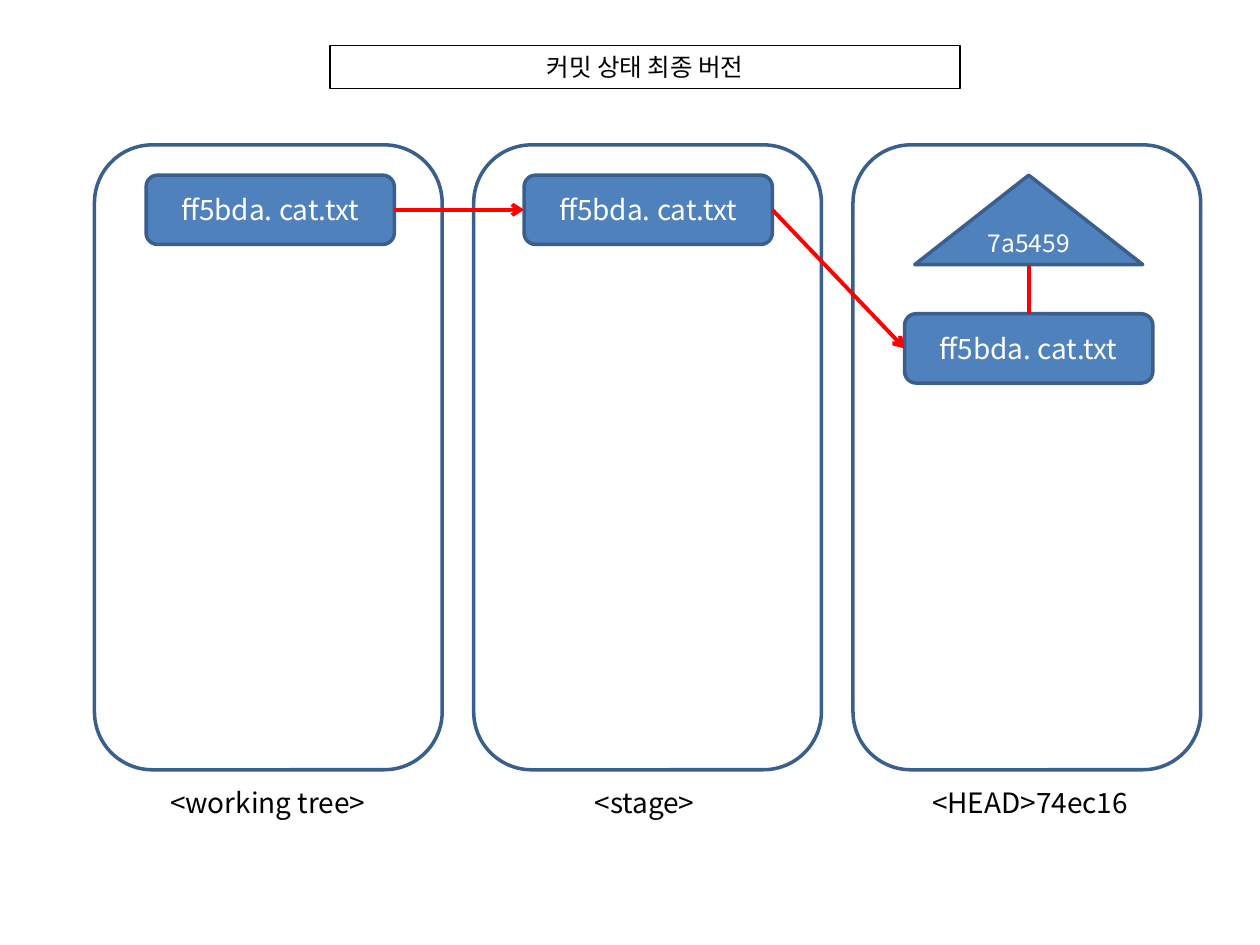
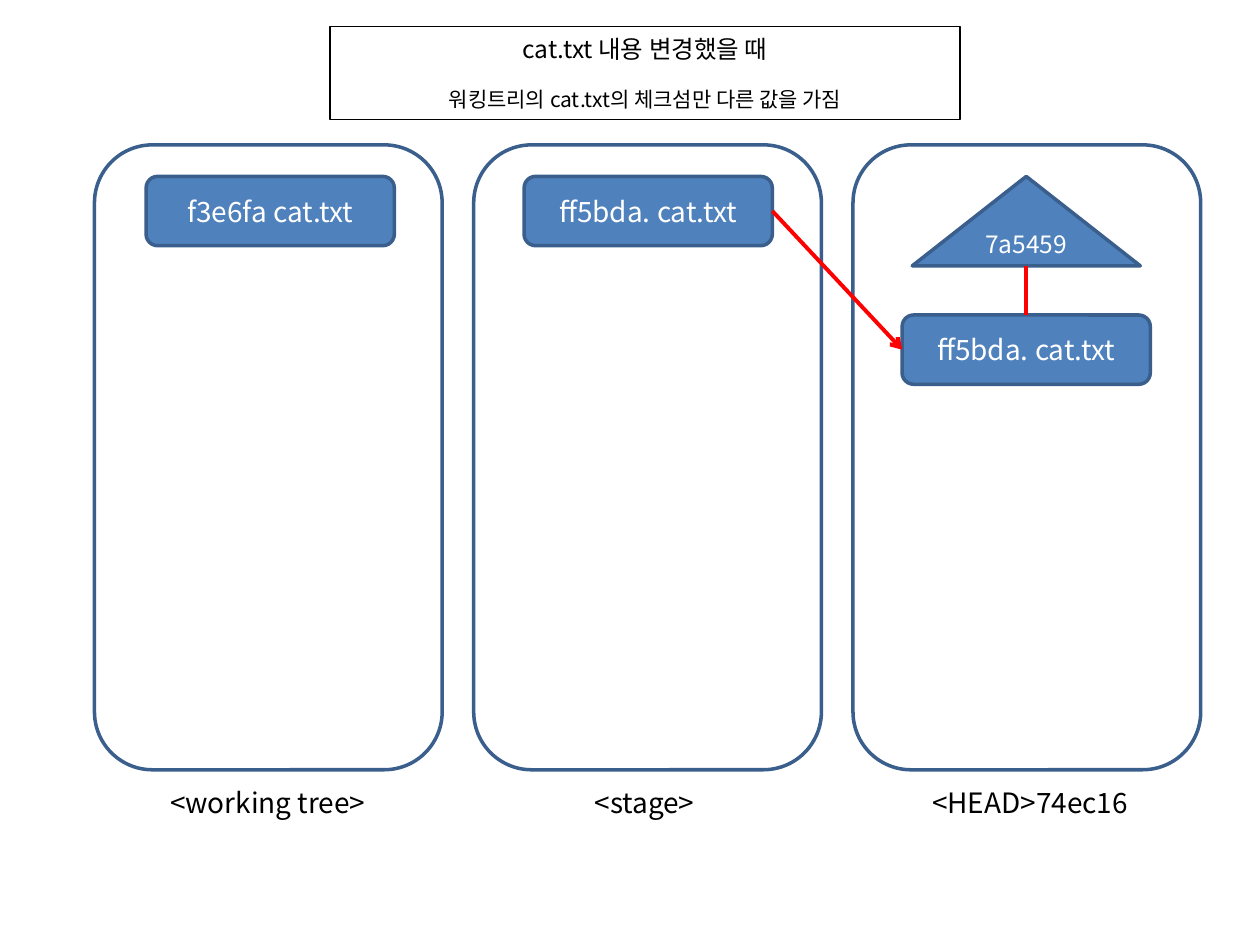
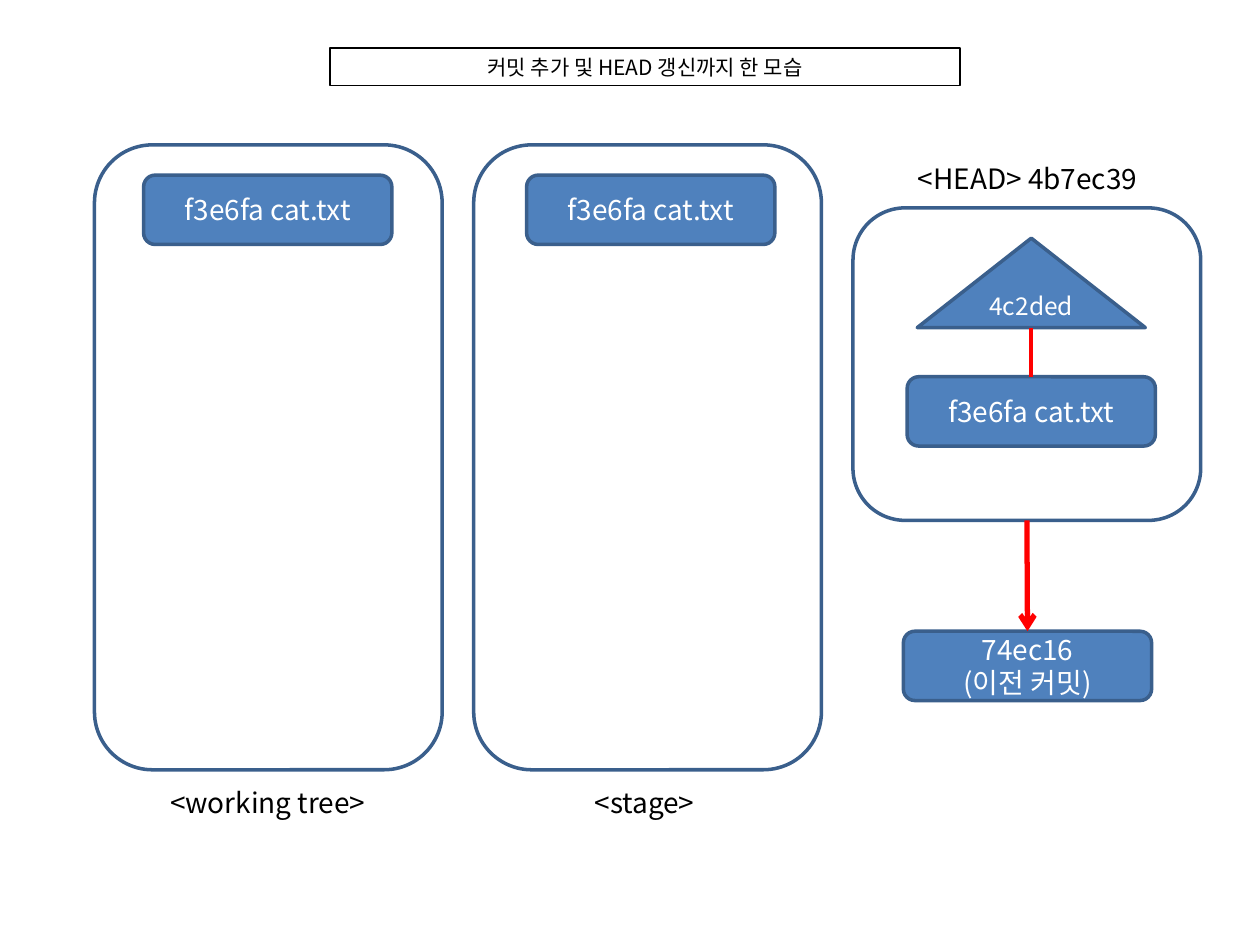
from dataclasses import dataclass
from typing import Optional

import pptx
import pptx.dml.color
import pptx.enum.shapes
import pptx.enum.text
import pptx.oxml
import pptx.oxml.ns
import pptx.util
from pptx.shapes.autoshape import Shape
from pptx.shapes.connector import Connector
from pptx.slide import Slide

EMU_PER_PX = 9144  # 100 px to the inch
FONT = "Noto Sans CJK KR"
BLACK, WHITE, RED = "000000", "FFFFFF", "FF0000"
BLUE, DARK_BLUE = "4F81BD", "3A5F8C"
SHAPES = pptx.enum.shapes.MSO_SHAPE
TOP, LEFT, BOTTOM, RIGHT = range(4)

CARD_WIDTH, CARD_HEIGHT = 197, 55
TREE_WIDTH, TREE_HEIGHT = 181, 71
TREE_INDENT = (CARD_WIDTH - TREE_WIDTH) // 2
TREE_GAP = 39
LABEL_WIDTH, LABEL_HEIGHT = 205, 37
LABEL_TOP = 618
COLUMN_LEFT, COLUMN_PITCH, COLUMN_TOP = 75, 301, 115
COLUMN_WIDTH, COLUMN_HEIGHT = 276, 496
TITLE_LEFT, TITLE_WIDTH = 262, 500


@dataclass(frozen=True)
class Box:
    left: int
    top: int
    width: int
    height: int


@dataclass(frozen=True)
class Line:
    text: str
    size: int
    space_before: int = 0


@dataclass(frozen=True)
class Label:
    text: str
    left: int
    top: int = LABEL_TOP


@dataclass(frozen=True)
class Card:
    text: str
    left: int
    top: int


@dataclass(frozen=True)
class Commit:
    """The HEAD column: a tree object above the file it holds."""
    label: Label
    tree_hash: str
    file: Card
    column_top: int = COLUMN_TOP
    column_height: int = COLUMN_HEIGHT
    previous: Optional[Card] = None


@dataclass(frozen=True)
class GitState:
    title: list[Line]
    title_top: int
    title_height: int
    working_file: Card
    staged_file: Card
    commit: Commit
    working_to_stage: bool = False
    stage_to_head: bool = False


STATES = [
    GitState(
        [Line("커밋 상태 최종 버전", 14)], 36, 34,
        Card("ff5bda. cat.txt", 116, 139),
        Card("ff5bda. cat.txt", 416, 139),
        Commit(Label("<HEAD>74ec16", 715), "7a5459",
               Card("ff5bda. cat.txt", 718, 249)),
        working_to_stage=True, stage_to_head=True),
    GitState(
        [Line("cat.txt 내용 변경했을 때", 14),
         Line("워킹트리의 cat.txt의 체크섬만 다른 값을 가짐", 12, space_before=13)], 21, 74,
        Card("f3e6fa cat.txt", 116, 140),
        Card("ff5bda. cat.txt", 416, 140),
        Commit(Label("<HEAD>74ec16", 715), "7a5459",
               Card("ff5bda. cat.txt", 716, 250)),
        stage_to_head=True),
    GitState(
        [Line("커밋 추가 및 HEAD 갱신까지 한 모습", 12)], 38, 30,
        Card("f3e6fa cat.txt", 114, 139),
        Card("f3e6fa cat.txt", 418, 139),
        Commit(Label("<HEAD> 4b7ec39", 713, 123), "4c2ded",
               Card("f3e6fa cat.txt", 720, 299),
               column_top=165, column_height=248,
               previous=Card("74ec16\n(이전 커밋)", 717, 501))),
]


def px(length: float) -> pptx.util.Emu:
    return pptx.util.Emu(round(length * EMU_PER_PX))


def color(hex_code: str) -> pptx.dml.color.RGBColor:
    return pptx.dml.color.RGBColor.from_string(hex_code)


def place(box: Box) -> tuple:
    return px(box.left), px(box.top), px(box.width), px(box.height)


def add_element(parent, tag: str, **attributes: str) -> None:
    element = pptx.oxml.parse_xml(f"<{tag} {pptx.oxml.ns.nsdecls('a')}/>")
    for name, value in attributes.items():
        element.set(name, value)
    parent.append(element)


def write(shape: Shape, lines: list[Line], text_color: str) -> None:
    """Fill a shape with centred lines; a newline breaks inside a paragraph."""
    frame = shape.text_frame
    frame.word_wrap = True
    frame.auto_size = pptx.enum.text.MSO_AUTO_SIZE.NONE
    frame.vertical_anchor = pptx.enum.text.MSO_ANCHOR.MIDDLE
    for index, line in enumerate(lines):
        paragraph = frame.add_paragraph() if index else frame.paragraphs[0]
        paragraph.alignment = pptx.enum.text.PP_ALIGN.CENTER
        paragraph.space_before = pptx.util.Pt(line.space_before)
        for part_index, part in enumerate(line.text.split("\n")):
            if part_index:
                paragraph.add_line_break()
            run = paragraph.add_run()
            run.text = part
            run.font.size = pptx.util.Pt(line.size)
            run.font.color.rgb = color(text_color)
            run.font.name = FONT
            add_element(run.font._element, "a:ea", typeface=FONT)


def add_title(slide: Slide, state: GitState) -> None:
    title = slide.shapes.title
    title.left, title.top, title.width, title.height = place(
        Box(TITLE_LEFT, state.title_top, TITLE_WIDTH, state.title_height))
    title.line.color.rgb = color(BLACK)
    title.line.width = pptx.util.Pt(0.75)
    write(title, state.title, BLACK)


def add_outlined(slide: Slide, kind: SHAPES, box: Box, fill: Optional[str] = None) -> Shape:
    shape = slide.shapes.add_shape(kind, *place(box))
    shape.shadow.inherit = False
    if fill:
        shape.fill.solid()
        shape.fill.fore_color.rgb = color(fill)
    else:
        shape.fill.background()
    shape.line.color.rgb = color(DARK_BLUE)
    shape.line.width = pptx.util.Pt(2)
    return shape


def add_column(slide: Slide, index: int, top: int = COLUMN_TOP,
               height: int = COLUMN_HEIGHT) -> Shape:
    box = Box(COLUMN_LEFT + index * COLUMN_PITCH, top, COLUMN_WIDTH, height)
    return add_outlined(slide, SHAPES.ROUNDED_RECTANGLE, box)


def add_label(slide: Slide, label: Label) -> None:
    box = Box(label.left, label.top, LABEL_WIDTH, LABEL_HEIGHT)
    write(slide.shapes.add_textbox(*place(box)), [Line(label.text, 16)], BLACK)


def add_card(slide: Slide, card: Card) -> Shape:
    box = Box(card.left, card.top, CARD_WIDTH, CARD_HEIGHT)
    shape = add_outlined(slide, SHAPES.ROUNDED_RECTANGLE, box, BLUE)
    write(shape, [Line(card.text, 16)], WHITE)
    return shape


def add_tree(slide: Slide, tree_hash: str, file: Card) -> Shape:
    """Draw the tree triangle centred above its file card."""
    box = Box(file.left + TREE_INDENT, file.top - TREE_GAP - TREE_HEIGHT,
              TREE_WIDTH, TREE_HEIGHT)
    shape = add_outlined(slide, SHAPES.ISOSCELES_TRIANGLE, box, BLUE)
    write(shape, [Line(tree_hash, 14)], WHITE)
    return shape


def add_red_line(slide: Slide, start: tuple = (0, 0), width: float = 2.25,
                 arrow: bool = True) -> Connector:
    connector = slide.shapes.add_connector(
        pptx.enum.shapes.MSO_CONNECTOR.STRAIGHT, *start, *start)
    connector.line.color.rgb = color(RED)
    connector.line.width = pptx.util.Pt(width)
    if arrow:
        add_element(connector.line._get_or_add_ln(), "a:tailEnd", type="arrow")
    add_element(connector._element.spPr, "a:effectLst")
    return connector


def join(slide: Slide, source: Shape, source_side: int, target: Shape,
         target_side: int, width: float = 2.25) -> None:
    connector = add_red_line(slide, width=width)
    connector.begin_connect(source, source_side)
    connector.end_connect(target, target_side)


def add_commit(slide: Slide, commit: Commit) -> Shape:
    """Draw the HEAD column and return its file card."""
    column = add_column(slide, 2, commit.column_top, commit.column_height)
    add_label(slide, commit.label)
    file = add_card(slide, commit.file)
    tree = add_tree(slide, commit.tree_hash, commit.file)
    base_middle = (tree.left + tree.width // 2, tree.top + tree.height)
    add_red_line(slide, base_middle, arrow=False).end_connect(file, TOP)
    if commit.previous:
        previous = add_card(slide, commit.previous)
        join(slide, column, BOTTOM, previous, TOP, width=3)
    return file


def add_state(slide: Slide, state: GitState) -> None:
    add_title(slide, state)
    for index, label in enumerate([Label("<working tree>", 110), Label("<stage>", 409)]):
        add_column(slide, index)
        add_label(slide, label)
    working_file = add_card(slide, state.working_file)
    staged_file = add_card(slide, state.staged_file)
    head_file = add_commit(slide, state.commit)
    if state.working_to_stage:
        join(slide, working_file, RIGHT, staged_file, LEFT)
    if state.stage_to_head:
        join(slide, staged_file, RIGHT, head_file, LEFT)


def main() -> None:
    presentation = pptx.Presentation()
    presentation.slide_width, presentation.slide_height = px(1000), px(750)
    title_only = presentation.slide_layouts.get_by_name("Title Only")
    for state in STATES:
        add_state(presentation.slides.add_slide(title_only), state)
    presentation.save("out.pptx")


if __name__ == "__main__":
    main()
